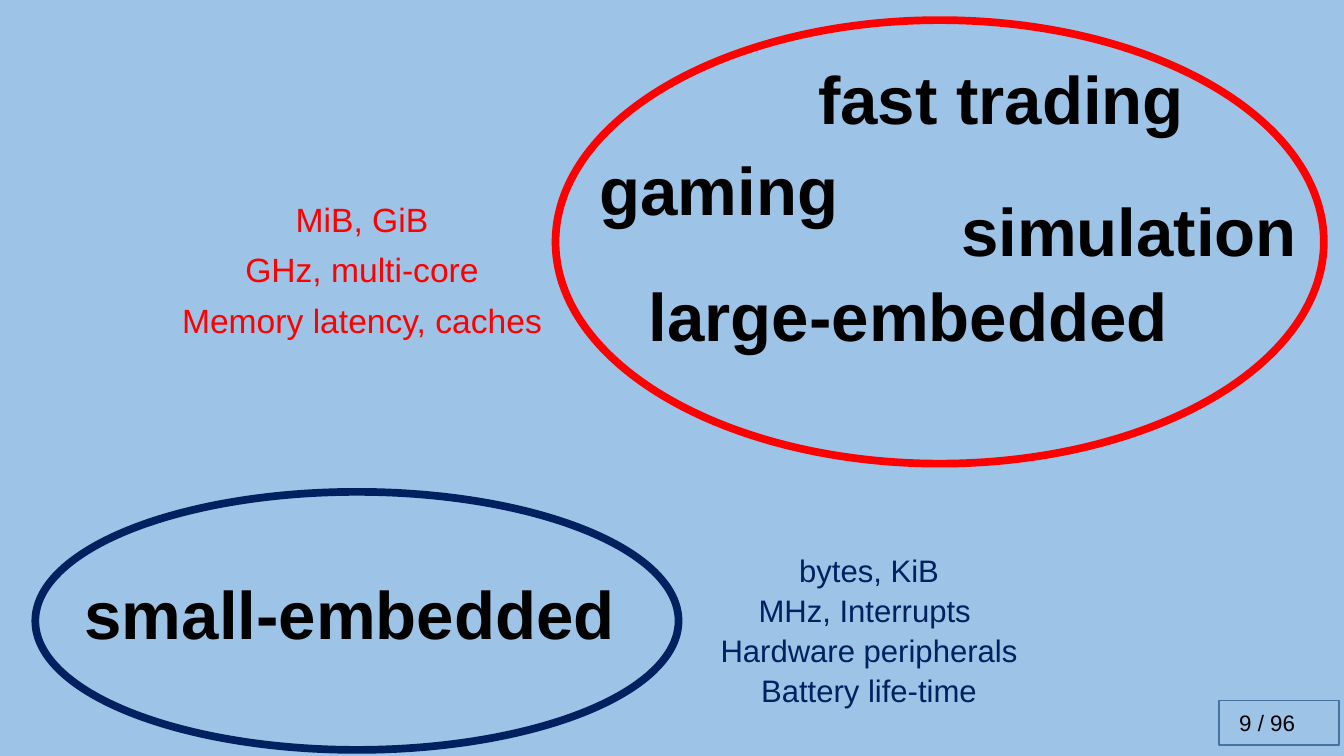
from pptx import Presentation
from pptx.dml.color import RGBColor
from pptx.enum.shapes import MSO_SHAPE
from pptx.enum.text import MSO_ANCHOR, PP_ALIGN
from pptx.util import Inches, Pt

BLACK = RGBColor(0x00, 0x00, 0x00)
RED = RGBColor(0xFF, 0x00, 0x00)
NAVY = RGBColor(0x00, 0x20, 0x60)
SKY = RGBColor(0x9D, 0xC3, 0xE6)
STEEL = RGBColor(0x43, 0x73, 0x9E)

OVAL, RECTANGLE = MSO_SHAPE.OVAL, MSO_SHAPE.RECTANGLE
CENTER, LEFT = PP_ALIGN.CENTER, PP_ALIGN.LEFT
TOP, MIDDLE = MSO_ANCHOR.TOP, MSO_ANCHOR.MIDDLE
FONT = "Arial"


def add_outline(slide, kind, box, color, weight):
    sp = slide.shapes.add_shape(kind, *map(Inches, box))
    sp.shadow.inherit = False
    sp.fill.background()
    sp.line.color.rgb = color
    sp.line.width = Pt(weight)
    return sp


def style_run(p, size, color, bold=False):
    font = p.runs[0].font
    font.name, font.size, font.bold = FONT, Pt(size), bold
    font.color.rgb = color


def add_lines(slide, box, lines, size, color, bold=False, spacing=0.9):
    """Place centred lines of text, one paragraph each, in the box."""
    tf = slide.shapes.add_textbox(*map(Inches, box)).text_frame
    tf.word_wrap = True
    tf.vertical_anchor = TOP
    for i, line in enumerate(lines):
        p = tf.add_paragraph() if i else tf.paragraphs[0]
        p.text = line
        p.alignment = CENTER
        p.line_spacing = spacing
        if i:
            p.space_before = Pt(10)
        style_run(p, size, color, bold)


def add_domain_group(slide, box, color, domains):
    """Draw an oval and its domain names, each given as (name, centre x, top, width) within the box."""
    left, top, _, _ = box
    for name, center, offset, width in domains:
        name_box = (left + center - width / 2, top + offset, width, 0.92)
        add_lines(slide, name_box, [name], 48, BLACK, bold=True)
    add_outline(slide, OVAL, box, color, 5.5)


def add_page_number(slide, box, text):
    sp = add_outline(slide, RECTANGLE, box, STEEL, 1)
    tf = sp.text_frame
    tf.margin_left = Inches(0.2)
    tf.vertical_anchor = MIDDLE
    p = tf.paragraphs[0]
    p.text = text
    p.alignment = LEFT
    style_run(p, 16, BLACK)


def main():
    prs = Presentation()
    prs.slide_width, prs.slide_height = Inches(13.33), Inches(7.5)
    slide = prs.slides.add_slide(prs.slide_layouts[6])
    slide.background.fill.solid()
    slide.background.fill.fore_color.rgb = SKY

    add_page_number(slide, (12.09, 6.95, 1.19, 0.44), "9 / 96")
    add_domain_group(slide, (5.51, 0.2, 7.62, 4.4), RED, [
        ("fast trading", 4.42, 0.41, 6.39),
        ("gaming", 1.62, 1.31, 6.39),
        ("simulation", 5.69, 1.72, 4.2),
        ("large-embedded", 3.5, 2.56, 6.39),
    ])
    add_domain_group(slide, (0.35, 4.88, 6.38, 2.56), NAVY, [
        ("small-embedded", 3.12, 0.84, 6.9),
    ])
    add_lines(slide, (1.53, 1.97, 4.12, 1.67),
              ["MiB, GiB", "GHz, multi-core", "Memory latency, caches"],
              24, RED)
    add_lines(slide, (6.56, 5.52, 4.12, 1.67),
              ["bytes, KiB", "MHz, Interrupts ", "Hardware peripherals",
               "Battery life-time"],
              22.2, NAVY, spacing=0.7)

    prs.save("out.pptx")


if __name__ == "__main__":
    main()
